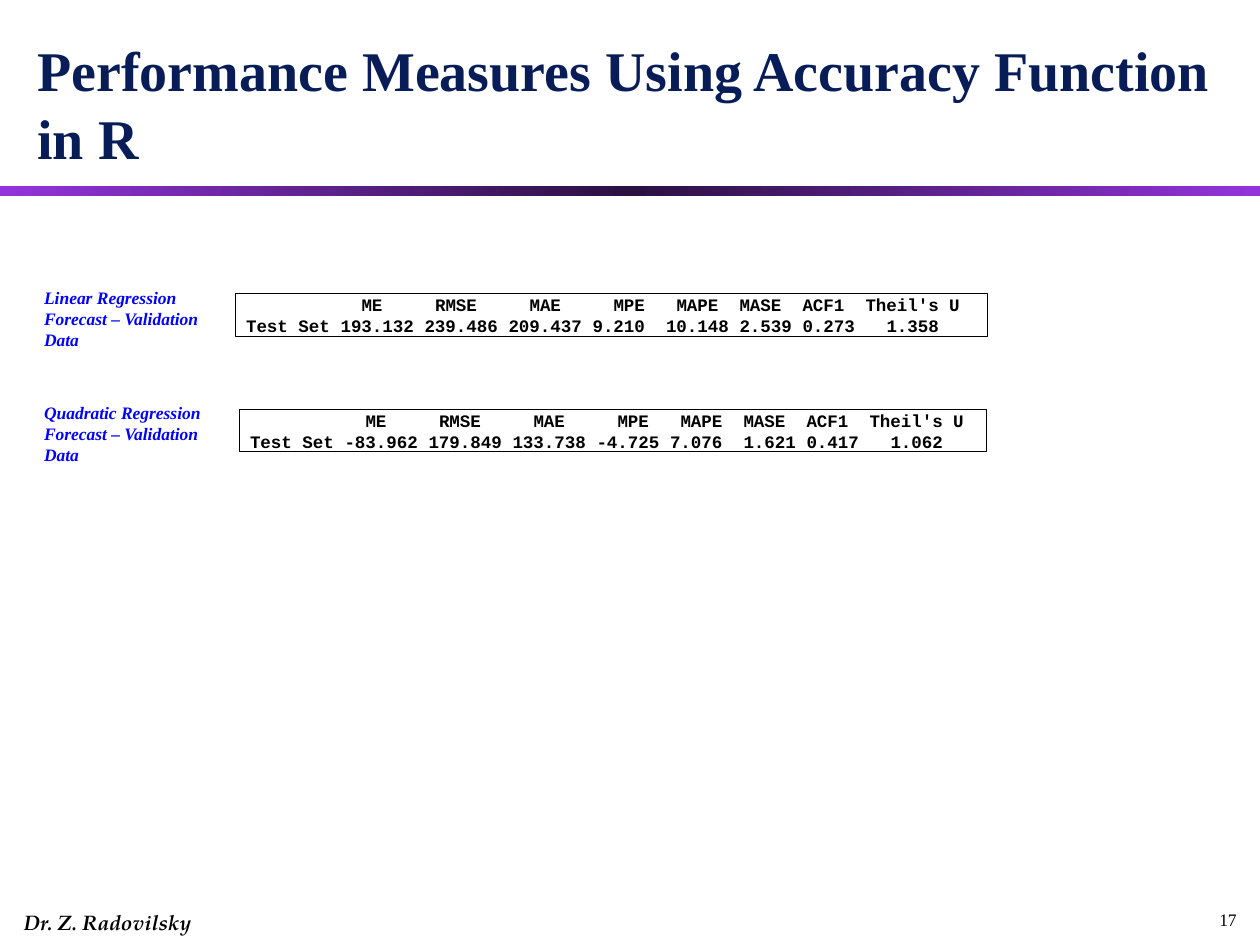
from copy import deepcopy
from dataclasses import dataclass

from lxml.etree import SubElement
from pptx import Presentation
from pptx.dml.color import RGBColor
from pptx.enum.shapes import MSO_SHAPE
from pptx.enum.text import MSO_ANCHOR, MSO_AUTO_SIZE, PP_ALIGN
from pptx.oxml.ns import qn
from pptx.util import Cm, Pt


@dataclass(frozen=True)
class Theme:
    navy: RGBColor = RGBColor(0x08, 0x1D, 0x58)
    blue: RGBColor = RGBColor(0x00, 0x00, 0xFF)
    black: RGBColor = RGBColor(0x00, 0x00, 0x00)
    white: RGBColor = RGBColor(0xFF, 0xFF, 0xFF)
    violet: RGBColor = RGBColor(0x92, 0x34, 0xDB)
    dark_violet: RGBColor = RGBColor(0x2B, 0x10, 0x41)
    serif: str = "Times New Roman"
    mono: str = "Courier New"
    author_font: str = "TeX Gyre Pagella"
    title_size: Pt = Pt(32)
    author_size: Pt = Pt(12)
    body_size: Pt = Pt(10)


THEME = Theme()

# Console columns, counted in characters of the monospaced font
CHAR_WIDTH = Pt(6)
HEADER_STOPS = (12, 19, 28, 36, 42, 48, 54, 60)
VALUE_STOPS = (1, 10, 18, 26, 34, 41, 48, 54, 62)
MEASURES = ("ME", "RMSE", "MAE", "MPE", "MAPE", "MASE", "ACF1", "Theil's U")

# Label, label top, output box (left, top, width, height) in cm, values
FORECASTS = (
    ("Linear Regression Forecast – Validation Data", 5.66, (4.75, 5.92, 15.16, 0.86),
     ("193.132", "239.486", "209.437", "9.210", "10.148", "2.539", "0.273", "1.358")),
    ("Quadratic Regression Forecast – Validation Data", 7.98, (4.83, 8.25, 15.06, 0.86),
     ("-83.962", "179.849", "133.738", "-4.725", "7.076", "1.621", "0.417", "1.062")),
)


def style(paragraph, font_name, size, color, bold=False, italic=False):
    for run in paragraph.runs:
        font = run.font
        font.name, font.size, font.bold, font.italic = font_name, size, bold, italic
        font.color.rgb = color


def add_text(slide, box, text, *font):
    frame = slide.shapes.add_textbox(*map(Cm, box)).text_frame
    frame.word_wrap = True
    frame.text = text
    style(frame.paragraphs[0], *font)


def set_tab_stops(paragraph, stops):
    tab_list = SubElement(paragraph._p.get_or_add_pPr(), qn("a:tabLst"))
    for stop in stops:
        SubElement(tab_list, qn("a:tab"), pos=str(stop * CHAR_WIDTH), algn="l")


def add_heading(slide, box):
    title = slide.shapes.title
    title.left, title.top, title.width, title.height = map(Cm, box)
    frame = title.text_frame
    frame.text = "Performance Measures Using Accuracy Function in R"
    frame.auto_size = MSO_AUTO_SIZE.NONE
    frame.vertical_anchor = MSO_ANCHOR.BOTTOM
    frame.paragraphs[0].alignment = PP_ALIGN.LEFT
    style(frame.paragraphs[0], THEME.serif, THEME.title_size, THEME.navy, True)


def add_divider(slide, box):
    divider = slide.shapes.add_shape(MSO_SHAPE.RECTANGLE, *map(Cm, box))
    divider.shadow.inherit = False
    divider.line.fill.background()
    divider.fill.gradient()
    divider.fill.gradient_angle = 0
    first, last = divider.fill.gradient_stops
    first._gs.addnext(deepcopy(first._gs))
    colors = (THEME.violet, THEME.dark_violet, THEME.violet)
    for index, (stop, color) in enumerate(zip(divider.fill.gradient_stops, colors)):
        stop.position = index / 2
        stop.color.rgb = color


def add_output(slide, box, values):
    output = slide.shapes.add_shape(MSO_SHAPE.RECTANGLE, *map(Cm, box))
    output.shadow.inherit = False
    output.fill.solid()
    output.fill.fore_color.rgb = THEME.white
    output.line.color.rgb = THEME.black
    output.line.width = Pt(0.75)

    frame = output.text_frame
    frame.margin_left = frame.margin_right = frame.margin_top = frame.margin_bottom = 0
    frame.vertical_anchor = MSO_ANCHOR.MIDDLE
    rows = ((MEASURES, HEADER_STOPS), (("Test Set", *values), VALUE_STOPS))
    frame.text = "\n".join("\t" + "\t".join(cells) for cells, _ in rows)
    for paragraph, (_, stops) in zip(frame.paragraphs, rows):
        paragraph.alignment = PP_ALIGN.LEFT
        set_tab_stops(paragraph, stops)
        style(paragraph, THEME.mono, THEME.body_size, THEME.black, True)


def add_forecast(slide, label, label_top, output_box, values):
    add_text(slide, (0.64, label_top, 4.01, 1.55), label,
             THEME.serif, THEME.body_size, THEME.blue, True, True)
    add_output(slide, output_box, values)


def add_footer(slide, top):
    add_text(slide, (0.23, top, 5.28, 0.76), "Dr. Z. Radovilsky",
             THEME.author_font, THEME.author_size, THEME.black, True, True)
    add_text(slide, (24.33, top, 1.07, 0.69), "17",
             THEME.serif, THEME.body_size, THEME.black)


def main():
    presentation = Presentation()
    presentation.slide_width, presentation.slide_height = Cm(25.4), Cm(19.05)
    slide = presentation.slides.add_slide(presentation.slide_layouts[5])

    # Heading and rule
    add_divider(slide, (0, 3.76, 25.4, 0.2))
    add_heading(slide, (0.5, 0.41, 24.41, 3.15))

    # Accuracy output for each forecast
    for forecast in FORECASTS:
        add_forecast(slide, *forecast)

    # Author and page number
    add_footer(slide, 18.21)
    presentation.save("out.pptx")


if __name__ == "__main__":
    main()
